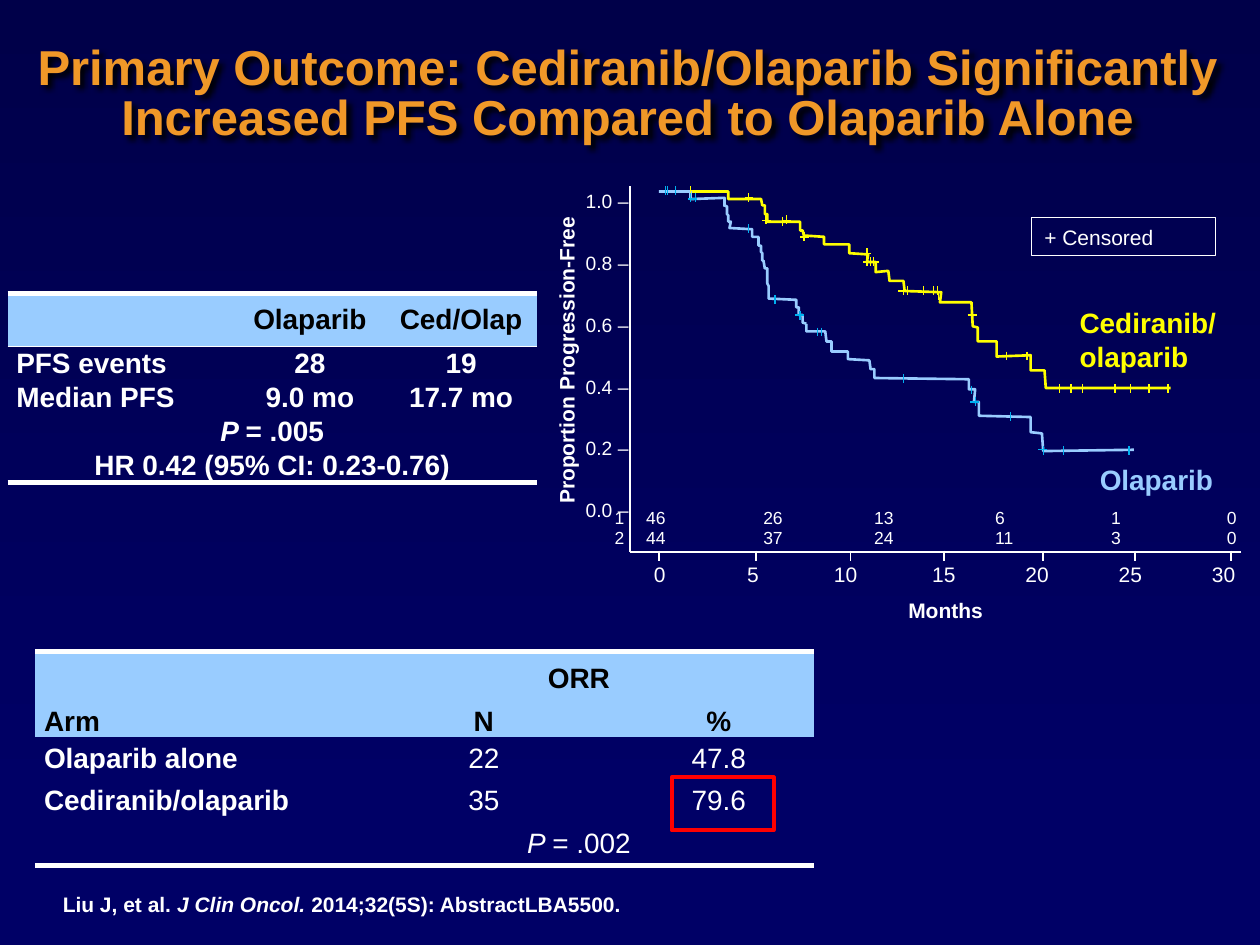
from dataclasses import dataclass, field

from lxml import etree
from pptx import Presentation
from pptx.dml.color import RGBColor
from pptx.enum.shapes import MSO_CONNECTOR, MSO_SHAPE
from pptx.enum.text import MSO_ANCHOR, MSO_AUTO_SIZE, PP_ALIGN
from pptx.oxml.ns import qn
from pptx.util import Inches, Pt

STRAIGHT, RECTANGLE = MSO_CONNECTOR.STRAIGHT, MSO_SHAPE.RECTANGLE
MIDDLE, BOTTOM = MSO_ANCHOR.MIDDLE, MSO_ANCHOR.BOTTOM
LEFT, CENTER = PP_ALIGN.LEFT, PP_ALIGN.CENTER
FIT_SHAPE, NO_FIT = MSO_AUTO_SIZE.SHAPE_TO_FIT_TEXT, MSO_AUTO_SIZE.NONE
NO_STYLE = "{2D5ABB26-0587-4C30-8999-92F81FD0307C}"
FONT = "Arial"
COLORS = {"top": "000049", "bottom": "000066", "title": "F09828", "white": "FFFFFF", "black": "000000",
          "blue": "99CCFF", "yellow": "FFFF00", "cyan": "00B0F0", "red": "FF0000"}


@dataclass
class Run:
    text: str
    size: float = 16
    color: str = "white"
    bold: bool = True
    italic: bool = False


@dataclass
class Label:
    box: tuple
    paragraphs: list
    align: int = LEFT
    spacing: float = 1.0
    wrap: bool = True
    rotation: int = 0
    tabs: list = field(default_factory=list)


@dataclass
class Grid:
    box: tuple
    columns: list
    heights: list
    rows: list
    merges: list
    header_rows: int
    header_anchor: int
    header_rule: float


@dataclass
class Curve:
    color: str
    points: list


@dataclass
class Censors:
    color: str
    vertical: list
    horizontal: list


def color(name: str) -> RGBColor:
    return RGBColor.from_string(COLORS[name])


def add_runs(paragraph, runs: list) -> None:
    for item in runs:
        run = paragraph.add_run()
        run.text = item.text
        font = run.font
        font.name, font.size, font.bold, font.italic = FONT, Pt(item.size), item.bold, item.italic
        font.color.rgb = color(item.color)


def fill_text(shape, label: Label) -> None:
    frame = shape.text_frame
    frame.word_wrap, frame.auto_size = label.wrap, FIT_SHAPE
    for index, runs in enumerate(label.paragraphs):
        paragraph = frame.add_paragraph() if index else frame.paragraphs[0]
        paragraph.alignment, paragraph.line_spacing = label.align, label.spacing
        if label.tabs:
            tab_list = etree.SubElement(paragraph._p.get_or_add_pPr(), qn("a:tabLst"))
            for position in label.tabs:
                etree.SubElement(tab_list, qn("a:tab"), pos=str(Inches(position)), algn="l")
        add_runs(paragraph, runs)


def add_label(slide, label: Label) -> None:
    shape = slide.shapes.add_textbox(*map(Inches, label.box))
    shape.rotation = label.rotation
    fill_text(shape, label)


def add_outline_box(slide, box: tuple, name: str, width: float):
    shape = slide.shapes.add_shape(RECTANGLE, *map(Inches, box))
    shape.shadow.inherit = False
    shape.fill.background()
    shape.line.color.rgb, shape.line.width = color(name), Pt(width)
    return shape


def add_line(slide, ends: tuple, name: str, width: float) -> None:
    line = slide.shapes.add_connector(STRAIGHT, *map(Inches, ends))
    line.line.color.rgb, line.line.width = color(name), Pt(width)
    etree.SubElement(line._element.spPr, qn("a:effectLst"))


def add_curve(slide, curve: Curve) -> None:
    points = [(Inches(x), Inches(y)) for x, y in curve.points]
    builder = slide.shapes.build_freeform(*points[0])
    builder.add_line_segments(points[1:], close=False)
    shape = builder.convert_to_shape()
    shape.shadow.inherit = False
    shape.fill.background()
    shape.line.color.rgb, shape.line.width = color(curve.color), Pt(1.5)


def add_censors(slide, censors: Censors) -> None:
    for x, y in censors.vertical:
        add_line(slide, (x, y, x, y + 0.07), censors.color, 0.75)
    for x, y in censors.horizontal:
        add_line(slide, (x, y, x + 0.07, y), censors.color, 0.75)


def set_borders(cell, top: float, bottom: float) -> None:
    properties = cell._tc.get_or_add_tcPr()
    for index, (side, width) in enumerate((("L", 0), ("R", 0), ("T", top), ("B", bottom))):
        border = etree.Element(qn(f"a:ln{side}"), w=str(Pt(width)))
        if width:
            solid = etree.SubElement(border, qn("a:solidFill"))
            etree.SubElement(solid, qn("a:srgbClr"), val=COLORS["white"])
        else:
            etree.SubElement(border, qn("a:noFill"))
        properties.insert(index, border)


def add_grid(slide, grid: Grid) -> None:
    last = len(grid.heights) - 1
    table = slide.shapes.add_table(last + 1, len(grid.columns), *map(Inches, grid.box)).table
    table.first_row = table.horz_banding = False
    table._tbl.tblPr.find(qn("a:tableStyleId")).text = NO_STYLE
    for column, width in zip(table.columns, grid.columns):
        column.width = Inches(width)
    for row, height in zip(table.rows, grid.heights):
        row.height = Inches(height)
    for first_row, first_column, last_row, last_column in grid.merges:
        table.cell(first_row, first_column).merge(table.cell(last_row, last_column))
    for row, contents in enumerate(grid.rows):
        header = row < grid.header_rows
        top = 3 if row == 0 else grid.header_rule if row == grid.header_rows else 0
        bottom = 3 if row == last else grid.header_rule if row == grid.header_rows - 1 else 0
        for column, runs in enumerate(contents):
            cell = table.cell(row, column)
            cell.margin_left = cell.margin_right = Inches(0.07)
            cell.margin_top = cell.margin_bottom = 0
            cell.vertical_anchor = grid.header_anchor if header else MIDDLE
            if header:
                cell.fill.solid()
                cell.fill.fore_color.rgb = color("blue")
            else:
                cell.fill.background()
            set_borders(cell, top, bottom)
            wide = cell.is_merge_origin and cell.span_width > 1
            paragraph = cell.text_frame.paragraphs[0]
            paragraph.alignment = CENTER if column or wide else LEFT
            add_runs(paragraph, runs)


def add_title(slide, text: str) -> None:
    title = slide.shapes.title
    title.left, title.top, title.width, title.height = map(Inches, (0.12, 0.25, 9.72, 1.01))
    frame = title.text_frame
    frame.vertical_anchor, frame.auto_size, frame.word_wrap = MIDDLE, NO_FIT, True
    paragraph = frame.paragraphs[0]
    paragraph.alignment, paragraph.line_spacing = CENTER, 0.85
    add_runs(paragraph, [Run(text, 28, "title")])
    effects = etree.SubElement(title._element.spPr, qn("a:effectLst"))
    shadow = etree.SubElement(effects, qn("a:outerShdw"), blurRad="38100", dist="38100", dir="2700000")
    etree.SubElement(shadow, qn("a:srgbClr"), val=COLORS["black"])


def head(text: str) -> list:
    return [Run(text, color="black")]


def bold(text: str) -> list:
    return [Run(text)]


def plain(text: str, size: float = 16) -> list:
    return [Run(text, size, bold=False)]


def p_value(text: str, is_bold: bool) -> list:
    return [Run("P ", bold=is_bold, italic=True), Run(text, bold=is_bold)]


PFS = Grid((0.06, 2.33, 4.2, 1.5), [1.8, 1.2, 1.2], [0.42] + [0.27] * 4, [
    [[], head("Olaparib"), head("Ced/Olap")], [bold("PFS events"), bold("28"), bold("19")],
    [bold("Median PFS"), bold("9.0 mo"), bold("17.7 mo")], [p_value("= .005", True), [], []],
    [bold("HR 0.42 (95% CI: 0.23-0.76)"), [], []]], [(3, 0, 3, 2), (4, 0, 4, 2)], 1, MIDDLE, 1)
ORR = Grid((0.28, 5.17, 6.18, 1.68), [2.45, 2.22, 1.51], [0.34] * 5, [
    [head("Arm"), head("ORR"), []], [[], head("N"), head("%")],
    [bold("Olaparib alone"), plain("22"), plain("47.8")], [bold("Cediranib/olaparib"), plain("35"), plain("79.6")],
    [[], p_value("= .002", False), []]], [(0, 0, 1, 0), (0, 1, 0, 2), (4, 1, 4, 2)], 2, BOTTOM, 0)
LABELS = [
    Label((8.47, 2.38, 1.3, 0.64), [[Run(t, color="yellow")] for t in ("Cediranib/", "olaparib")], wrap=False),
    Label((8.63, 3.62, 1.11, 0.37), [[Run("Olaparib", color="blue")]], wrap=False),
    Label((3.06, 2.71, 2.87, 0.3), [[Run("Proportion Progression-Free", 12)]], CENTER, rotation=270),
    Label((0.4, 7.03, 4.77, 0.3), [[Run("Liu J, et al. ", 12), Run("J Clin Oncol. ", 12, italic=True),
                                    Run("2014;32(5S): AbstractLBA5500.", 12)]]),
    Label((6.07, 4.69, 2.87, 0.3), [[Run("Months", 12)]], CENTER),
    Label((4.55, 1.15, 0.59, 3.56), [plain(f"{n / 10:.1f} –", 11) for n in range(10, -1, -2)], spacing=2.67),
    Label((4.78, 3.99, 5.16, 0.42), [plain("1\t46\t26\t13\t6\t1\t0", 10), plain("2\t44\t37\t24\t11\t3\t0", 10)],
          spacing=0.95, tabs=[0.25, 1.18, 2.06, 3.02, 3.94, 4.86]),
    Label((5.09, 4.41, 4.99, 0.3), [plain("\t".join(str(n) for n in range(0, 31, 5)), 12)],
          tabs=[0.74, 1.43, 2.21, 2.95, 3.69, 4.43])]
CURVES = [
    Curve("yellow", [
        (5.24, 1.52), (5.78, 1.52), (5.78, 1.58), (6.04, 1.58), (6.05, 1.63), (6.07, 1.63), (6.07, 1.7), (6.09, 1.7),
        (6.09, 1.76), (6.35, 1.76), (6.35, 1.83), (6.37, 1.83), (6.38, 1.87), (6.54, 1.88), (6.54, 1.94), (6.74, 1.94),
        (6.74, 2.01), (6.89, 2.02), (6.88, 2.08), (6.95, 2.08), (6.95, 2.16), (7.05, 2.15), (7.06, 2.23), (7.17, 2.23),
        (7.18, 2.31), (7.47, 2.32), (7.46, 2.4), (7.71, 2.4), (7.72, 2.59), (7.76, 2.6), (7.76, 2.71), (7.91, 2.71),
        (7.91, 2.83), (8.18, 2.82), (8.18, 2.94), (8.29, 2.94), (8.3, 3.08), (9.29, 3.08)]),
    Curve("blue", [
        (6.4, 2.57), (6.4, 2.63), (6.55, 2.63), (6.56, 2.71), (6.6, 2.71), (6.6, 2.79), (6.73, 2.79), (6.73, 2.85),
        (6.9, 2.86), (6.91, 2.93), (6.94, 2.93), (6.94, 3), (7.69, 3.01), (7.69, 3.09), (7.74, 3.09), (7.73, 3.19),
        (7.77, 3.19), (7.77, 3.3), (8.18, 3.31), (8.18, 3.43), (8.27, 3.44), (8.28, 3.58), (9, 3.57)]),
    Curve("blue", [(5.23, 1.52), (5.48, 1.52), (5.48, 1.58), (5.75, 1.57), (5.75, 1.64)]),
    Curve("blue", [
        (5.75, 1.63), (5.77, 1.64), (5.77, 1.7), (5.78, 1.71), (5.78, 1.76), (5.8, 1.76), (5.79, 1.81), (5.97, 1.82),
        (5.97, 1.88), (6.02, 1.88), (6.02, 1.95), (6.04, 1.95), (6.04, 2), (6.05, 2.01), (6.05, 2.07), (6.06, 2.07),
        (6.07, 2.13), (6.09, 2.13), (6.09, 2.25), (6.1, 2.27), (6.1, 2.37), (6.32, 2.38), (6.32, 2.44), (6.34, 2.44),
        (6.34, 2.5), (6.37, 2.5), (6.37, 2.56), (6.4, 2.57)])]
CENSORS = [
    Censors("yellow", [
        (5.94, 1.53), (6.24, 1.71), (6.38, 1.84), (6.88, 1.97), (6.08, 1.71), (6.21, 1.72), (5.48, 1.48), (6.93, 2.04),
        (6.91, 2.04), (6.88, 2.04), (7.33, 2.27), (7.41, 2.27), (7.44, 2.27), (7.45, 2.31), (7.2, 2.27), (7.17, 2.27),
        (7.99, 2.79), (8.15, 2.79)] + [(x, 3.05) for x in (8.41, 8.5, 8.59, 8.85, 8.97, 9.12, 9.27)],
        [(5.91, 1.57), (6.21, 1.75), (6.35, 1.88), (6.84, 2.01), (6.05, 1.75), (7.68, 2.5), (6.85, 2.08), (6.91, 2.08),
         (7.13, 2.31)]),
    Censors("cyan", [
        (5.28, 1.48), (5.3, 1.48), (5.36, 1.48), (5.48, 1.53), (5.52, 1.53), (5.94, 1.78), (6.15, 2.34), (6.35, 2.47),
        (6.49, 2.6), (6.52, 2.6), (7.17, 2.97), (7.71, 3.06), (7.74, 3.15), (8.02, 3.27), (8.28, 3.54), (8.44, 3.54),
        (8.96, 3.54)], [(5.46, 1.58), (6.31, 2.5), (7.7, 3.19), (8.24, 3.57)])]

presentation = Presentation()
presentation.slide_width, presentation.slide_height = Inches(10), Inches(7.5)
slide = presentation.slides.add_slide(presentation.slide_layouts[5])
background = slide.background.fill
background.gradient()
background.gradient_angle = 270
for stop, name, position in zip(background.gradient_stops, ("top", "bottom"), (0, 0.86)):
    stop.color.rgb, stop.position = color(name), position
add_title(slide, "Primary Outcome: Cediranib/Olaparib Significantly Increased PFS Compared to Olaparib Alone")
for grid in (PFS, ORR):
    add_grid(slide, grid)
add_outline_box(slide, (5.33, 6.17, 0.81, 0.42), "red", 2.25)
for label in LABELS:
    add_label(slide, label)
legend = Label((8.19, 1.73, 1.46, 0.3), [plain("+ Censored", 12)])
fill_text(add_outline_box(slide, legend.box, "white", 0.5), legend)
for curve in CURVES:
    add_curve(slide, curve)
for censors in CENSORS:
    add_censors(slide, censors)
for axis in ((5, 1.48, 5, 4.38), (9.85, 4.38, 5, 4.38)):
    add_line(slide, axis, "white", 1.5)
for x in (5.23, 6, 6.75, 7.49, 8.28, 9.01, 9.77):
    add_line(slide, (x, 4.37, x, 4.45), "white", 1)
presentation.save("out.pptx")
